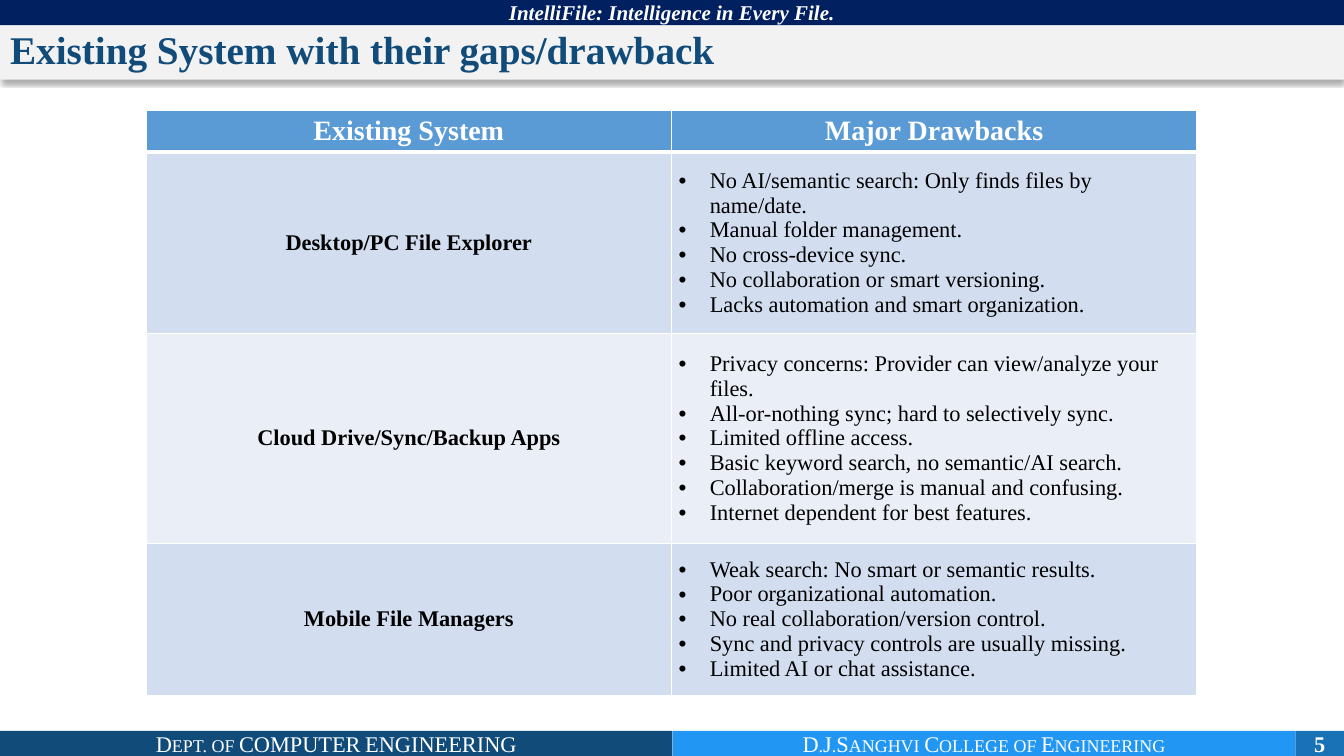
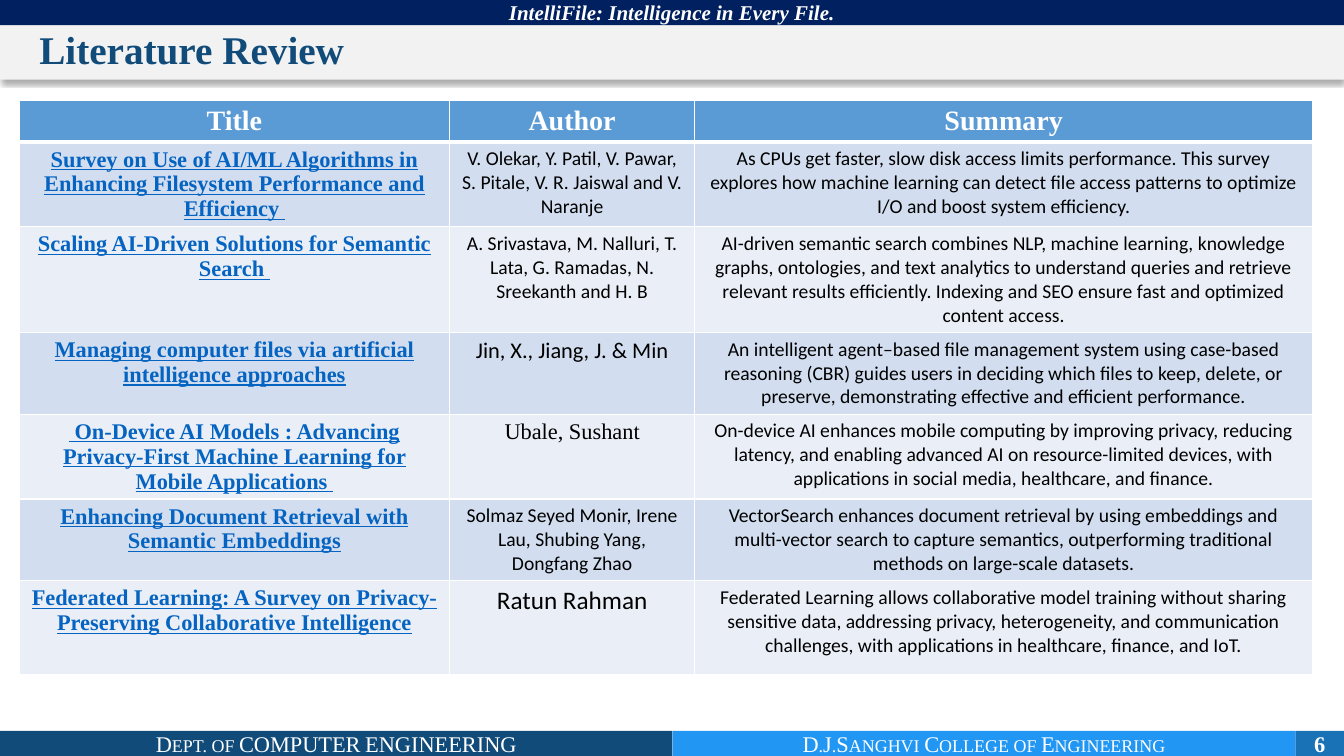
from lxml import etree
from pptx import Presentation
from pptx.dml.color import RGBColor
from pptx.enum import shapes, text
from pptx.oxml import ns
from pptx.util import Inches, Pt

COLORS = {
    "navy": "002060", "title": "114B79", "title_band": "F2F2F2",
    "footer_mid": "2196F3", "footer_page": "1971B6",
    "header": "5B9BD5", "row_odd": "D2DEEF", "row_even": "EAEFF7",
    "link": "0563C1", "white": "FFFFFF", "black": "000000",
}
SERIF, SANS = "Times New Roman", "Calibri"
WIDTH, HEIGHT, BAND = 13.33, 7.5, 0.25
FIRST_PAGE = 5
LEFT, CENTER = text.PP_ALIGN.LEFT, text.PP_ALIGN.CENTER
TOP, MIDDLE = text.MSO_ANCHOR.TOP, text.MSO_ANCHOR.MIDDLE

DRAWBACKS = [
    ("Desktop/PC File Explorer", [
        "No AI/semantic search: Only finds files by name/date.",
        "Manual folder management.",
        "No cross-device sync.",
        "No collaboration or smart versioning.",
        "Lacks automation and smart organization.",
    ]),
    ("Cloud Drive/Sync/Backup Apps", [
        "Privacy concerns: Provider can view/analyze your files.",
        "All-or-nothing sync; hard to selectively sync.",
        "Limited offline access.",
        "Basic keyword search, no semantic/AI search.",
        "Collaboration/merge is manual and confusing.",
        "Internet dependent for best features.",
    ]),
    ("Mobile File Managers", [
        "Weak search: No smart or semantic results.",
        "Poor organizational automation.",
        "No real collaboration/version control.",
        "Sync and privacy controls are usually missing.",
        "Limited AI or chat assistance.",
    ]),
]

# Title, authors, authors' size and font, summary
PAPERS = [
    ("Survey on Use of AI/ML Algorithms in Enhancing Filesystem Performance and Efficiency ",
     "V. Olekar, Y. Patil, V. Pawar, S. Pitale, V. R. Jaiswal and V. Naranje", 14, SANS,
     "As CPUs get faster, slow disk access limits performance. This survey explores how "
     "machine learning can detect file access patterns to optimize I/O and boost system "
     "efficiency."),
    ("Scaling AI-Driven Solutions for Semantic Search ",
     "A. Srivastava, M. Nalluri, T. Lata, G. Ramadas, N. Sreekanth and H. B", 14, SANS,
     "AI-driven semantic search combines NLP, machine learning, knowledge graphs, "
     "ontologies, and text analytics to understand queries and retrieve relevant results "
     "efficiently. Indexing and SEO ensure fast and optimized content access."),
    ("Managing computer files via artificial intelligence approaches",
     "Jin, X., Jiang, J. & Min", 16, SANS,
     "An intelligent agent–based file management system using case-based reasoning (CBR) "
     "guides users in deciding which files to keep, delete, or preserve, demonstrating "
     "effective and efficient performance."),
    (" On-Device AI Models : Advancing Privacy-First Machine Learning for Mobile Applications ",
     "Ubale, Sushant", 16, SERIF,
     "On-device AI enhances mobile computing by improving privacy, reducing latency, and "
     "enabling advanced AI on resource-limited devices, with applications in social media, "
     "healthcare, and finance."),
    ("Enhancing Document Retrieval with Semantic Embeddings",
     "Solmaz Seyed Monir, Irene Lau, Shubing Yang, Dongfang Zhao", 14, SANS,
     "VectorSearch enhances document retrieval by using embeddings and multi-vector search "
     "to capture semantics, outperforming traditional methods on large-scale datasets."),
    ("Federated Learning: A Survey on Privacy-Preserving Collaborative Intelligence",
     "Ratun Rahman", 18, SANS,
     "Federated Learning allows collaborative model training without sharing sensitive data, "
     "addressing privacy, heterogeneity, and communication challenges, with applications in "
     "healthcare, finance, and IoT."),
]


def rgb(name):
    return RGBColor.from_string(COLORS[name])


def paint(target, color):
    target.fill.solid()
    target.fill.fore_color.rgb = rgb(color)


def add_xml(parent, tag, **attributes):
    return etree.SubElement(parent, ns.qn(tag), attributes)


def write(para, words, size, color="black", font=SERIF, bold=False, italic=False,
          underline=False, small_caps=False, align=CENTER):
    para.text = words
    para.alignment = align
    for span in para.runs:
        span.font.size = Pt(size)
        span.font.name = font
        span.font.bold = bold
        span.font.italic = italic
        span.font.underline = underline
        span.font.color.rgb = rgb(color)
        if small_caps:
            span.font._element.set("cap", "small")


def add_band(page, left, top, width, color, words, **style):
    band = page.shapes.add_shape(shapes.MSO_SHAPE.RECTANGLE, Inches(left), Inches(top),
                                 Inches(width), Inches(BAND))
    band.shadow.inherit = False
    paint(band, color)
    band.line.fill.background()
    frame = band.text_frame
    frame.margin_left = frame.margin_right = frame.margin_top = frame.margin_bottom = 0
    frame.word_wrap = True
    frame.vertical_anchor = MIDDLE
    write(frame.paragraphs[0], words, color="white", **style)


def add_title(page, words, inset):
    title = page.shapes.title
    title.left, title.top = Inches(0), Inches(BAND)
    title.width, title.height = Inches(WIDTH), Inches(0.54)
    paint(title, "title_band")
    effects = add_xml(title._element.spPr, "a:effectLst")
    shadow = add_xml(effects, "a:outerShdw", blurRad=str(Pt(3.5)), dist=str(Pt(2.2)),
                     dir="5400000", algn="t", rotWithShape="0")
    shade = add_xml(shadow, "a:srgbClr", val=COLORS["black"])
    add_xml(shade, "a:alpha", val="32000")
    frame = title.text_frame
    frame.auto_size = text.MSO_AUTO_SIZE.NONE
    frame.vertical_anchor = TOP
    frame.margin_left = Inches(inset)
    write(frame.paragraphs[0], words, 28, "title", bold=True, align=LEFT)
    frame.paragraphs[0].line_spacing = 0.9


def add_page(deck, title, title_inset=0.1):
    """Add a slide with the shared bands, footer, page number and title."""
    page = deck.slides.add_slide(deck.slide_layouts[5])
    number = FIRST_PAGE + len(deck.slides) - 1
    footer = HEIGHT - BAND
    add_band(page, 0, footer, 6.67, "title", "Dept. of COMPUTER ENGINEERING",
             size=16, small_caps=True)
    add_band(page, 6.67, footer, 6.18, "footer_mid", "D.J.Sanghvi College of Engineering",
             size=16, small_caps=True)
    add_band(page, 12.85, footer, 0.48, "footer_page", str(number), size=16, bold=True)
    add_band(page, 0, 0, WIDTH, "navy", "IntelliFile: Intelligence in Every File.",
             size=15, bold=True, italic=True)
    add_title(page, title, title_inset)
    return page


def add_borders(cell, row):
    """White cell edges, with a thicker rule under the header row."""
    properties = cell._tc.get_or_add_tcPr()
    for side in "LRTB":
        thick = (row, side) in ((0, "B"), (1, "T"))
        line = add_xml(properties, f"a:ln{side}", w=str(Pt(3 if thick else 1)))
        fill = add_xml(line, "a:solidFill")
        add_xml(fill, "a:srgbClr", val=COLORS["white"])


def add_grid(page, left, top, columns, heights, headings):
    """Add a table with its header written and its rows banded."""
    frame = page.shapes.add_table(len(heights), len(columns), Inches(left), Inches(top),
                                  Inches(sum(columns)), Inches(sum(heights)))
    grid = frame.table
    for column, width in zip(grid.columns, columns):
        column.width = Inches(width)
    for index, (row, height) in enumerate(zip(grid.rows, heights)):
        row.height = Inches(height)
        color = "header" if index == 0 else "row_odd" if index % 2 else "row_even"
        for cell in row.cells:
            add_borders(cell, index)
            paint(cell, color)
    for cell, heading in zip(grid.rows[0].cells, headings):
        write(cell.text_frame.paragraphs[0], heading, 20, "white", bold=True)
    return grid


def write_bullets(cell, items):
    frame = cell.text_frame
    for index, item in enumerate(items):
        para = frame.add_paragraph() if index else frame.paragraphs[0]
        properties = para._p.get_or_add_pPr()
        properties.set("marL", str(Inches(0.31)))
        properties.set("indent", str(-Inches(0.31)))
        add_xml(properties, "a:buFont", typeface="Arial")
        add_xml(properties, "a:buChar", char="•")
        write(para, item, 16, align=LEFT)


def add_drawbacks(deck):
    page = add_page(deck, "Existing System with their gaps/drawback")
    grid = add_grid(page, 1.45, 1.1, [5.21] * 2, [0.4, 1.8, 2.08, 1.51],
                    ["Existing System", "Major Drawbacks"])
    for index, (system, drawbacks) in enumerate(DRAWBACKS, 1):
        name_cell, list_cell = grid.rows[index].cells
        for cell in (name_cell, list_cell):
            cell.vertical_anchor = MIDDLE
            cell.margin_left = cell.margin_right = Inches(0.07)
        write(name_cell.text_frame.paragraphs[0], system, 16, bold=True)
        write_bullets(list_cell, drawbacks)


def add_literature(deck):
    page = add_page(deck, "Literature Review", title_inset=0.39)
    grid = add_grid(page, 0.19, 1, [4.27, 2.43, 6.13],
                    [0.4, 0.84, 1.05, 0.81, 0.84, 0.81, 0.93],
                    ["Title", "Author", "Summary"])
    for index, (title, authors, size, font, summary) in enumerate(PAPERS, 1):
        title_para, author_para, summary_para = (
            cell.text_frame.paragraphs[0] for cell in grid.rows[index].cells)
        write(title_para, title, 16, "link", bold=True, underline=True)
        write(author_para, authors, size, font=font)
        write(summary_para, summary, 14, font=SANS)


def main():
    deck = Presentation()
    deck.slide_width, deck.slide_height = Inches(WIDTH), Inches(HEIGHT)
    add_drawbacks(deck)
    add_literature(deck)
    deck.save("out.pptx")


if __name__ == "__main__":
    main()
